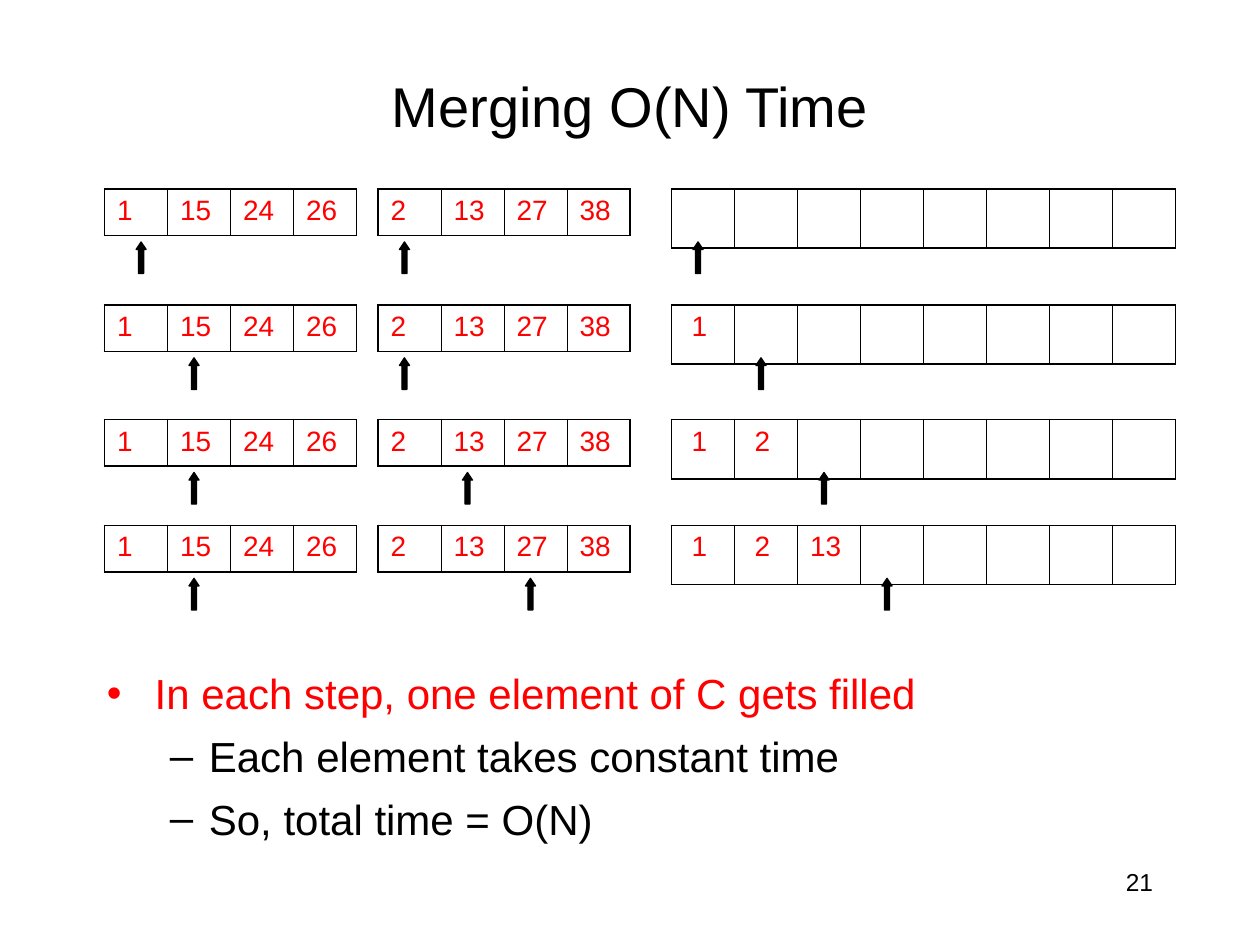
from lxml import etree
from pptx import Presentation
from pptx import util as u
from pptx.dml.color import RGBColor
from pptx.enum import shapes, text
from pptx.oxml import ns

BLACK = RGBColor(0x00, 0x00, 0x00)
RED = RGBColor(0xFF, 0x00, 0x00)
FONT = "Arial"
CELL_WIDTH = 0.5
INNER_LINE, OUTER_LINE = 0.45, 1.08
LIST_A = ["1", "15", "24", "26"]
LIST_B = ["2", "13", "27", "38"]
MERGED = ["1", "2", "13"]
MERGED_SIZE = 8


def style_font(paragraph, size, color):
    paragraph.font.name = FONT
    paragraph.font.size = u.Pt(size)
    paragraph.font.color.rgb = color


def add_text_frame(slide, box):
    frame = slide.shapes.add_textbox(*map(u.Inches, box)).text_frame
    frame.word_wrap = True
    return frame


def add_line_text(slide, box, content, size, alignment, anchor):
    frame = add_text_frame(slide, box)
    frame.vertical_anchor = anchor
    paragraph = frame.paragraphs[0]
    paragraph.text = content
    paragraph.alignment = alignment
    style_font(paragraph, size, BLACK)


def set_bullet(paragraph, character, color, margin, hanging):
    properties = paragraph._p.get_or_add_pPr()
    properties.set("marL", str(u.Inches(margin)))
    properties.set("indent", str(-u.Inches(hanging)))
    bullet_color = etree.SubElement(properties, ns.qn("a:buClr"))
    etree.SubElement(bullet_color, ns.qn("a:srgbClr"), val=str(color))
    etree.SubElement(properties, ns.qn("a:buFont"), typeface=FONT)
    etree.SubElement(properties, ns.qn("a:buChar"), char=character)


def add_conclusions(slide, box):
    items = [
        ("In each step, one element of C gets filled", 0, "•", RED, 0.38, 0.38),
        ("Each element takes constant time", 1, "–", BLACK, 0.81, 0.31),
        ("So, total time = O(N)", 1, "–", BLACK, 0.81, 0.31),
    ]
    frame = add_text_frame(slide, box)
    for index, (content, level, character, color, margin, hanging) in enumerate(items):
        paragraph = frame.add_paragraph() if index else frame.paragraphs[0]
        paragraph.text = content
        paragraph.level = level
        set_bullet(paragraph, character, color, margin, hanging)
        if index:
            paragraph.space_before = u.Pt(7)
        style_font(paragraph, 24, color)


def set_borders(cell, is_first, is_last):
    widths = {
        "a:lnL": OUTER_LINE if is_first else INNER_LINE,
        "a:lnR": OUTER_LINE if is_last else INNER_LINE,
        "a:lnT": OUTER_LINE,
        "a:lnB": OUTER_LINE,
    }
    properties = cell._tc.get_or_add_tcPr()
    for position, (tag, width) in enumerate(widths.items()):
        line = etree.Element(ns.qn(tag), w=str(u.Pt(width)))
        fill = etree.SubElement(line, ns.qn("a:solidFill"))
        etree.SubElement(fill, ns.qn("a:srgbClr"), val=str(BLACK))
        properties.insert(position, line)


def add_array(slide, box, values, digit_indent=0):
    count = len(values)
    table = slide.shapes.add_table(1, count, *map(u.Inches, box)).table
    table.first_row = table.horz_banding = False
    for index, value in enumerate(values):
        table.columns[index].width = u.Inches(CELL_WIDTH)
        cell = table.cell(0, index)
        cell.fill.background()
        cell.margin_left = u.Inches(0.1 + (digit_indent if len(value) == 1 else 0))
        set_borders(cell, index == 0, index == count - 1)
        paragraph = cell.text_frame.paragraphs[0]
        paragraph.text = value
        style_font(paragraph, 16, RED)


def add_pointer(slide, left, top):
    arrow = slide.shapes.add_shape(
        shapes.MSO_SHAPE.UP_ARROW, *map(u.Inches, (left, top, 0.08, 0.25))
    )
    arrow.adjustments[1] = 0.75
    arrow.shadow.inherit = False
    arrow.fill.solid()
    arrow.fill.fore_color.rgb = BLACK
    arrow.line.color.rgb = BLACK
    arrow.line.width = u.Pt(0.75)


def add_merge_step(slide, top, filled, pointer_a, pointer_b):
    merged = MERGED[:filled] + [""] * (MERGED_SIZE - filled)
    arrays = [
        (0.83, 0.37, LIST_A, 0, pointer_a),
        (3, 0.37, LIST_B, 0, pointer_b),
        (5.33, 0.47, merged, 0.06, filled),
    ]
    for left, height, values, digit_indent, pointer in arrays:
        box = (left, top, CELL_WIDTH * len(values), height)
        add_array(slide, box, values, digit_indent)
        add_pointer(slide, left + 0.17 + CELL_WIDTH * pointer, top + 0.42)


def main():
    presentation = Presentation()
    presentation.slide_width = u.Inches(10)
    presentation.slide_height = u.Inches(7.5)
    slide = presentation.slides.add_slide(presentation.slide_layouts[6])

    add_line_text(slide, (0.75, 0.42, 8.5, 0.83), "Merging O(N) Time", 32,
                  text.PP_ALIGN.CENTER, text.MSO_ANCHOR.MIDDLE)
    steps = [(1.5, 0.16, 0), (2.42, 1, 0), (3.33, 1, 1), (4.17, 1, 2)]
    for filled, (top, pointer_a, pointer_b) in enumerate(steps):
        add_merge_step(slide, top, filled, pointer_a, pointer_b)
    add_conclusions(slide, (0.75, 5.25, 8.5, 1.58))
    add_line_text(slide, (7.17, 6.83, 2.08, 0.5), "21", 14,
                  text.PP_ALIGN.RIGHT, text.MSO_ANCHOR.TOP)

    presentation.save("out.pptx")


if __name__ == "__main__":
    main()
